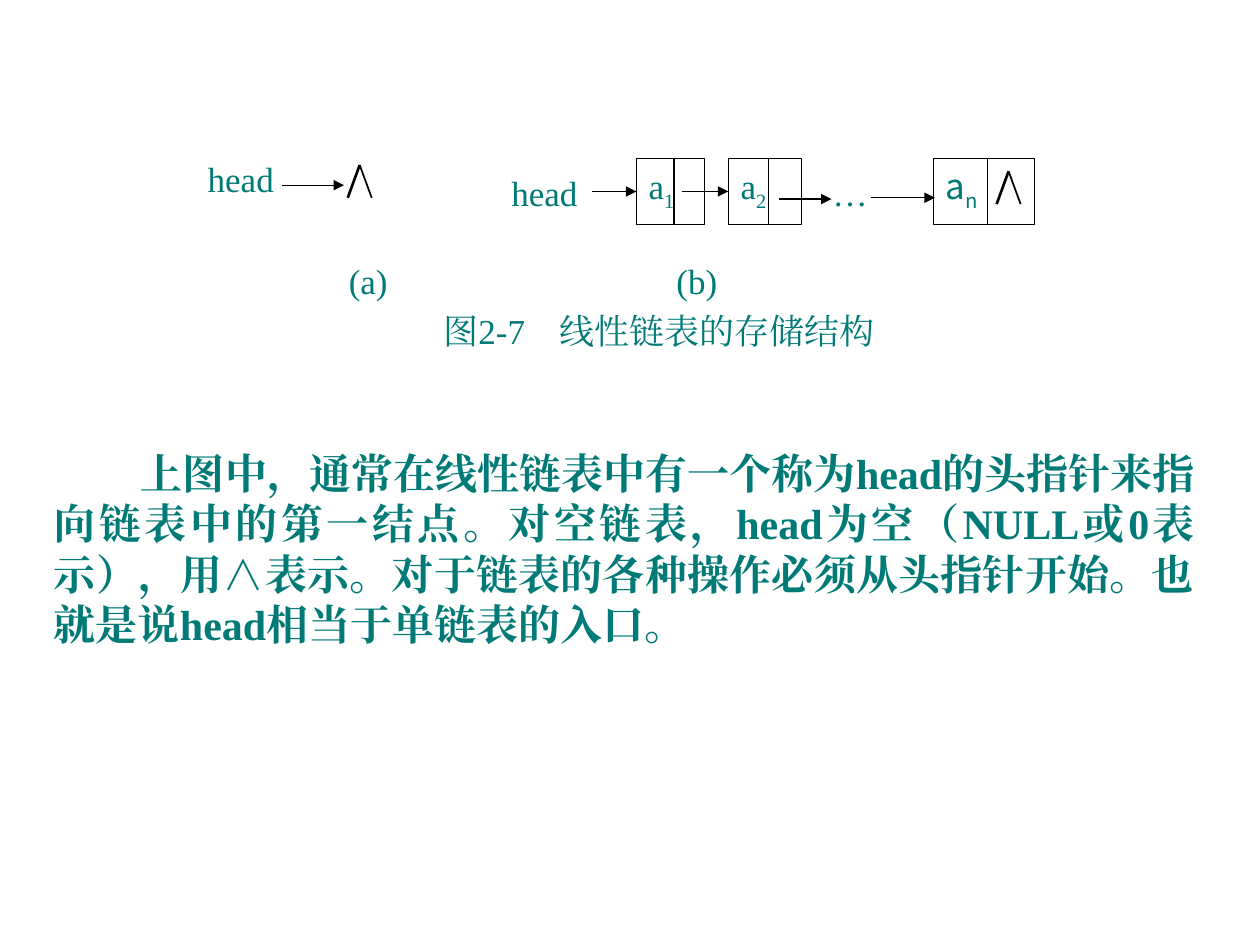
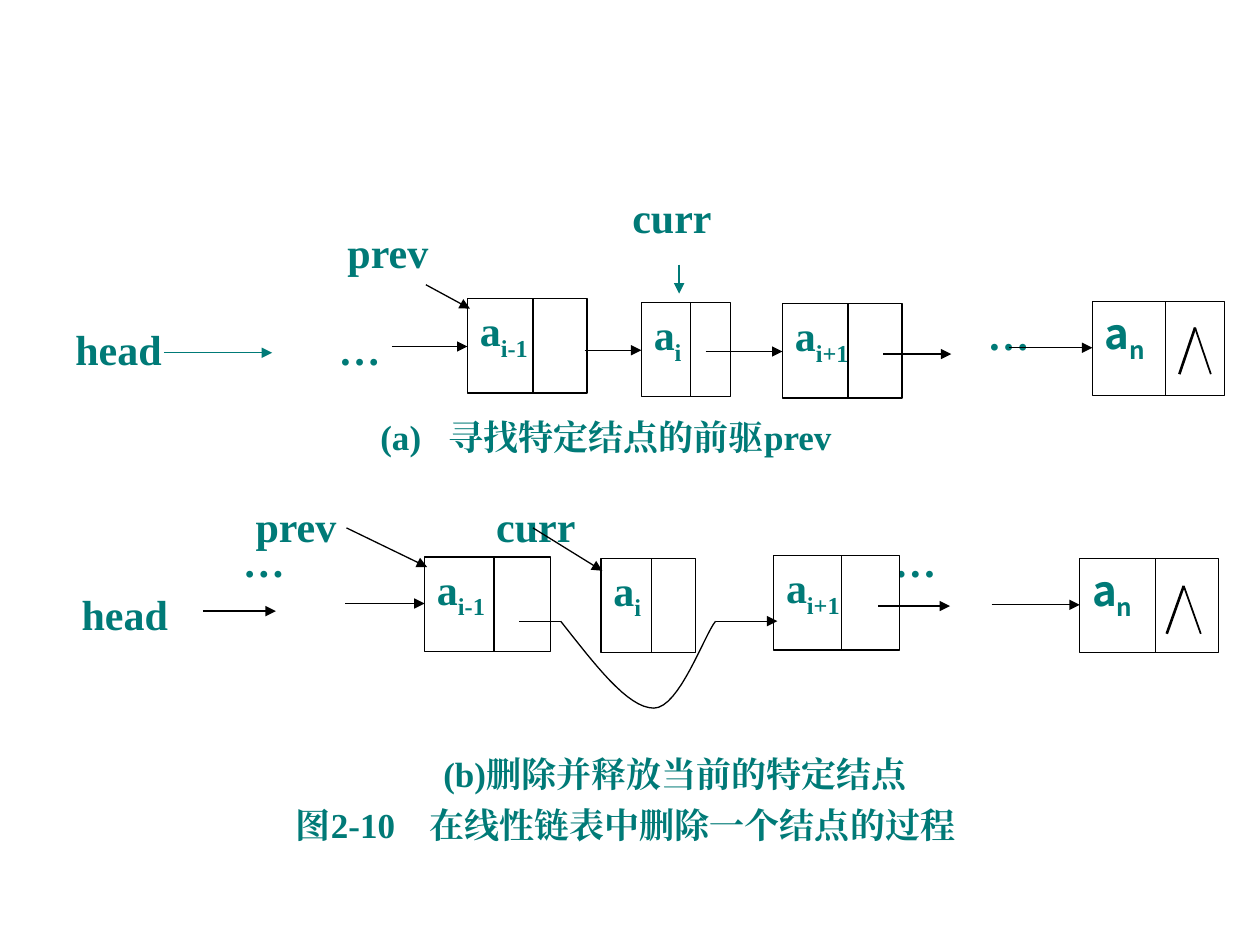
from dataclasses import dataclass

from lxml import etree
from pptx import Presentation
from pptx.dml.color import RGBColor
from pptx.enum.shapes import MSO_CONNECTOR, MSO_SHAPE
from pptx.enum.text import MSO_ANCHOR, PP_ALIGN
from pptx.oxml.ns import qn
from pptx.slide import Slide
from pptx.util import Inches, Pt

LINE = MSO_CONNECTOR.STRAIGHT
RECT = MSO_SHAPE.RECTANGLE
TOP = MSO_ANCHOR.TOP
LEFT = PP_ALIGN.LEFT
JUSTIFY = PP_ALIGN.JUSTIFY


@dataclass(frozen=True)
class Theme:
    teal: RGBColor = RGBColor(0x00, 0x7A, 0x77)
    black: RGBColor = RGBColor(0, 0, 0)
    white: RGBColor = RGBColor(255, 255, 255)
    serif: str = "Times New Roman"
    sans: str = "Noto Sans CJK SC"
    small: int = 20
    large: int = 24
    thin: float = 0.75
    sub: int = -25000


THEME = Theme()


@dataclass(frozen=True)
class Style:
    size: int
    bold: bool


PLAIN = Style(THEME.small, False)
STRONG = Style(THEME.large, True)
CAPTION = Style(THEME.small, True)


@dataclass(frozen=True)
class Label:
    text: str
    x: float
    y: float
    w: float = 1.1
    h: float = 0.5
    tab: float = 0
    indent: float = 0


@dataclass(frozen=True)
class Node:
    """A list node: data field up to split, then the pointer field."""
    sub: str
    x: float
    y: float
    w: float
    split: float
    h: float = 0.75
    font: str = THEME.serif


@dataclass(frozen=True)
class Arrow:
    x: float
    y: float
    dx: float
    dy: float = 0
    color: RGBColor = THEME.black
    width: float = THEME.thin
    head: bool = True


@dataclass(frozen=True)
class Caret:
    """The null mark, given by its bounding box."""
    x: float
    y: float
    w: float
    h: float


def format_run(run, style: Style, face: str = THEME.serif) -> None:
    font = run.font
    font.size = Pt(style.size)
    font.bold = style.bold
    font.name = face
    font.color.rgb = THEME.teal
    east = etree.SubElement(font._element, qn("a:ea"))
    east.set("typeface", face)


def draw_label(slide: Slide, label: Label, style: Style) -> None:
    box = slide.shapes.add_textbox(
        Inches(label.x), Inches(label.y), Inches(label.w), Inches(label.h))
    frame = box.text_frame
    frame.word_wrap = True
    frame.text = label.text
    para = frame.paragraphs[0]
    para.alignment = JUSTIFY if label.indent else LEFT
    props = para._p.get_or_add_pPr()
    if label.indent:
        props.set("indent", str(Inches(label.indent)))
    if label.tab:
        stops = etree.SubElement(props, qn("a:tabLst"))
        stop = etree.SubElement(stops, qn("a:tab"))
        stop.set("pos", str(Inches(label.tab)))
        stop.set("algn", "l")
    for run in para.runs:
        format_run(run, style)


def draw_arrow(slide: Slide, arrow: Arrow) -> None:
    line = slide.shapes.add_connector(
        LINE, Inches(arrow.x), Inches(arrow.y),
        Inches(arrow.x + arrow.dx), Inches(arrow.y + arrow.dy))
    line.line.color.rgb = arrow.color
    line.line.width = Pt(arrow.width)
    props = line._element.spPr
    if arrow.head:
        tail = etree.SubElement(props.find(qn("a:ln")), qn("a:tailEnd"))
        tail.set("type", "triangle")
    etree.SubElement(props, qn("a:effectLst"))


def draw_node(slide: Slide, node: Node, style: Style) -> None:
    box = slide.shapes.add_shape(
        RECT, Inches(node.x), Inches(node.y), Inches(node.w), Inches(node.h))
    box.shadow.inherit = False
    box.fill.solid()
    box.fill.fore_color.rgb = THEME.white
    box.line.color.rgb = THEME.black
    box.line.width = Pt(THEME.thin)
    frame = box.text_frame
    frame.vertical_anchor = TOP
    frame.text = "a"
    para = frame.paragraphs[0]
    para.alignment = LEFT
    para.add_run().text = node.sub
    for run in para.runs:
        format_run(run, style, node.font)
    para.runs[1].font._element.set("baseline", str(THEME.sub))
    draw_arrow(slide, Arrow(node.x + node.split, node.y, 0, node.h, head=False))


def draw_caret(slide: Slide, mark: Caret) -> None:
    half = mark.w / 2
    base = mark.y + mark.h
    draw_arrow(slide, Arrow(mark.x, base, half, -mark.h, width=1.5, head=False))
    draw_arrow(slide, Arrow(mark.x + half, mark.y, half, mark.h, width=1, head=False))


def draw_curve(slide: Slide, curves: list, steps: int = 16) -> None:
    """Draw joined cubic curves as one open outline."""
    points = []
    for a, b, c, d in curves:
        for i in range(steps + 1):
            t = i / steps
            u = 1 - t
            points.append(tuple(
                Inches(u**3 * p + 3 * u * u * t * q + 3 * u * t * t * r + t**3 * s)
                for p, q, r, s in zip(a, b, c, d)))
    pen = slide.shapes.build_freeform(*points[0])
    pen.add_line_segments(points[1:], close=False)
    curve = pen.convert_to_shape()
    curve.shadow.inherit = False
    curve.fill.background()
    curve.line.color.rgb = THEME.black
    curve.line.width = Pt(THEME.thin)


def draw_list(slide: Slide, style: Style, labels: list, nodes: list,
              arrows: list, marks: list) -> None:
    for label in labels:
        draw_label(slide, label, style)
    for node in nodes:
        draw_node(slide, node, style)
    for arrow in arrows:
        draw_arrow(slide, arrow)
    for mark in marks:
        draw_caret(slide, mark)


def build_storage(slide: Slide) -> None:
    labels = [
        Label("head", 1.55, 1.2), Label("head", 3.96, 1.31),
        Label("…", 6.51, 1.31, 0.65),
        Label("(a)", 2.67, 2.01), Label("(b)", 5.27, 2.01),
        Label("图2-7\t线性链表的存储结构", 3.42, 2.41, 4.5, tab=0.92),
    ]
    nodes = [
        Node("1", 5.05, 1.26, 0.54, 0.3, 0.52),
        Node("2", 5.78, 1.26, 0.58, 0.32, 0.52),
        Node("n", 7.41, 1.26, 0.8, 0.43, 0.52, THEME.sans),
    ]
    arrows = [
        Arrow(2.24, 1.47, 0.49), Arrow(4.7, 1.52, 0.35), Arrow(5.41, 1.52, 0.37),
        Arrow(6.18, 1.58, 0.42), Arrow(6.91, 1.57, 0.51),
    ]
    marks = [Caret(2.76, 1.31, 0.19, 0.26), Caret(7.91, 1.36, 0.19, 0.26)]
    draw_list(slide, PLAIN, labels, nodes, arrows, marks)
    text = ("上图中，通常在线性链表中有一个称为head的头指针来指向链表中的第一结点。"
            "对空链表，head为空（NULL或0表示），用∧表示。"
            "对于链表的各种操作必须从头指针开始。也就是说head相当于单链表的入口。")
    draw_label(slide, Label(text, 0.33, 3.5, 9.25, 2.31, indent=0.69), STRONG)


def build_removal(slide: Slide) -> None:
    find_labels = [
        Label("head", 0.5, 2.52), Label("…", 2.59, 2.52), Label("…", 7.74, 2.4),
        Label("prev", 2.66, 1.75), Label("curr", 4.92, 1.47),
    ]
    find_nodes = [
        Node("i-1", 3.71, 2.37, 0.95, 0.52), Node("i", 5.09, 2.4, 0.71, 0.39),
        Node("i+1", 6.21, 2.41, 0.95, 0.52),
        Node("n", 8.67, 2.39, 1.05, 0.58, font=THEME.sans),
    ]
    find_arrows = [
        Arrow(1.3, 2.8, 0.86, color=THEME.teal),
        Arrow(5.39, 2.1, 0, 0.23, color=THEME.teal),
        Arrow(3.38, 2.26, 0.35, 0.19), Arrow(3.11, 2.75, 0.6),
        Arrow(4.64, 2.78, 0.45), Arrow(5.6, 2.79, 0.61),
        Arrow(7.01, 2.81, 0.54), Arrow(8.01, 2.76, 0.66),
    ]
    draw_list(slide, STRONG, find_labels, find_nodes, find_arrows,
              [Caret(9.36, 2.6, 0.25, 0.37)])

    free_labels = [
        Label("head", 0.55, 4.62), Label("…", 1.83, 4.2), Label("…", 7, 4.2),
        Label("prev", 1.93, 3.92), Label("curr", 3.84, 3.92),
    ]
    free_nodes = [
        Node("i-1", 3.37, 4.42, 1, 0.55), Node("i", 4.77, 4.43, 0.75, 0.4),
        Node("i+1", 6.14, 4.41, 1, 0.54),
        Node("n", 8.57, 4.43, 1.1, 0.6, font=THEME.sans),
    ]
    free_arrows = [
        Arrow(2.75, 4.19, 0.64, 0.31), Arrow(4.23, 4.19, 0.55, 0.34),
        Arrow(1.61, 4.85, 0.58), Arrow(2.74, 4.79, 0.63),
        Arrow(6.97, 4.81, 0.57), Arrow(7.87, 4.8, 0.7),
        Arrow(4.12, 4.93, 0.33, head=False), Arrow(5.68, 4.93, 0.49),
    ]
    draw_list(slide, STRONG, free_labels, free_nodes, free_arrows,
              [Caret(9.26, 4.65, 0.27, 0.38)])
    draw_curve(slide, [
        ((4.45, 4.93), (4.72, 5.27), (4.98, 5.62), (5.19, 5.62)),
        ((5.19, 5.62), (5.39, 5.62), (5.59, 5.04), (5.68, 4.93)),
    ])

    for label in (
        Label("(a)\t寻找特定结点的前驱prev", 2.92, 3.25, 5.38, 0.44, tab=0.54),
        Label("(b)删除并释放当前的特定结点", 3.42, 5.92, 4.1, 0.44),
        Label("图2-10\t在线性链表中删除一个结点的过程", 2.25, 6.33, 5.93, 0.44, tab=1.06),
    ):
        draw_label(slide, label, CAPTION)


def main() -> None:
    deck = Presentation()
    deck.slide_width = Inches(10)
    deck.slide_height = Inches(7.5)
    blank = deck.slide_layouts[6]
    for build in (build_storage, build_removal):
        build(deck.slides.add_slide(blank))
    deck.save("out.pptx")


if __name__ == "__main__":
    main()
